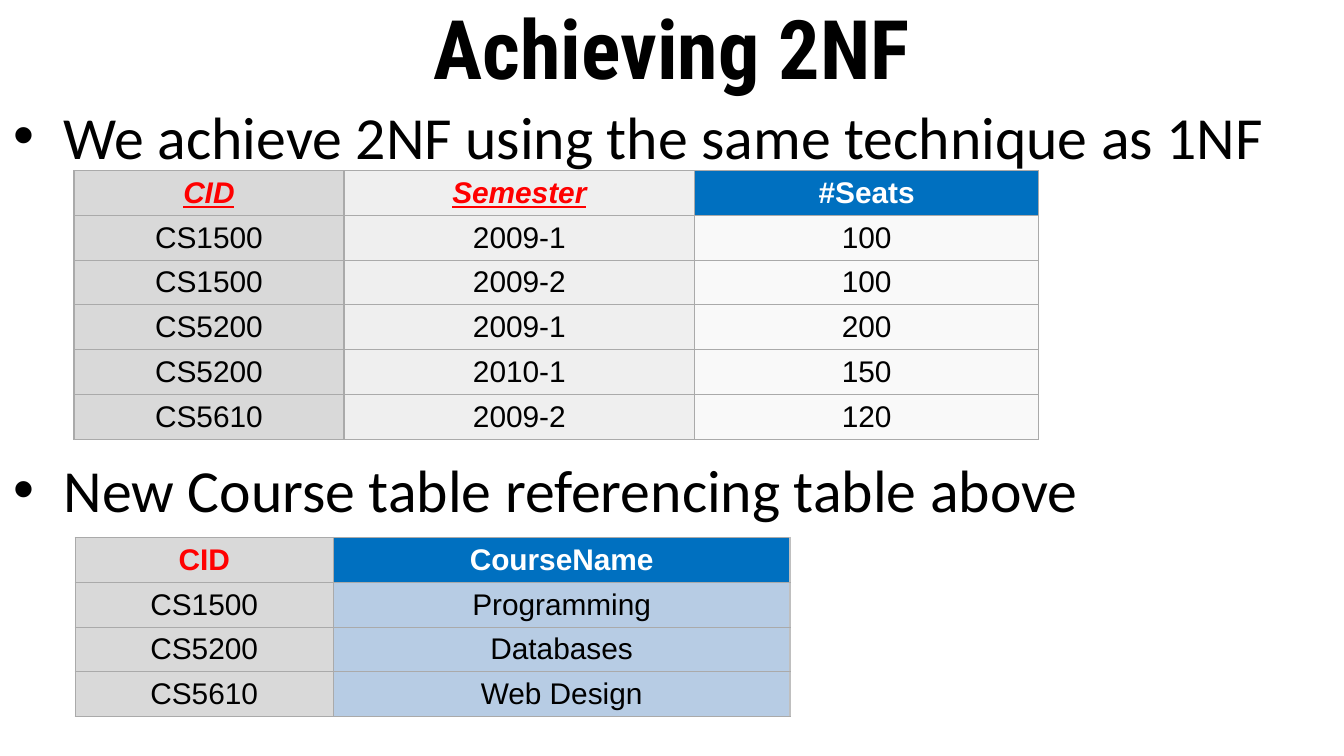
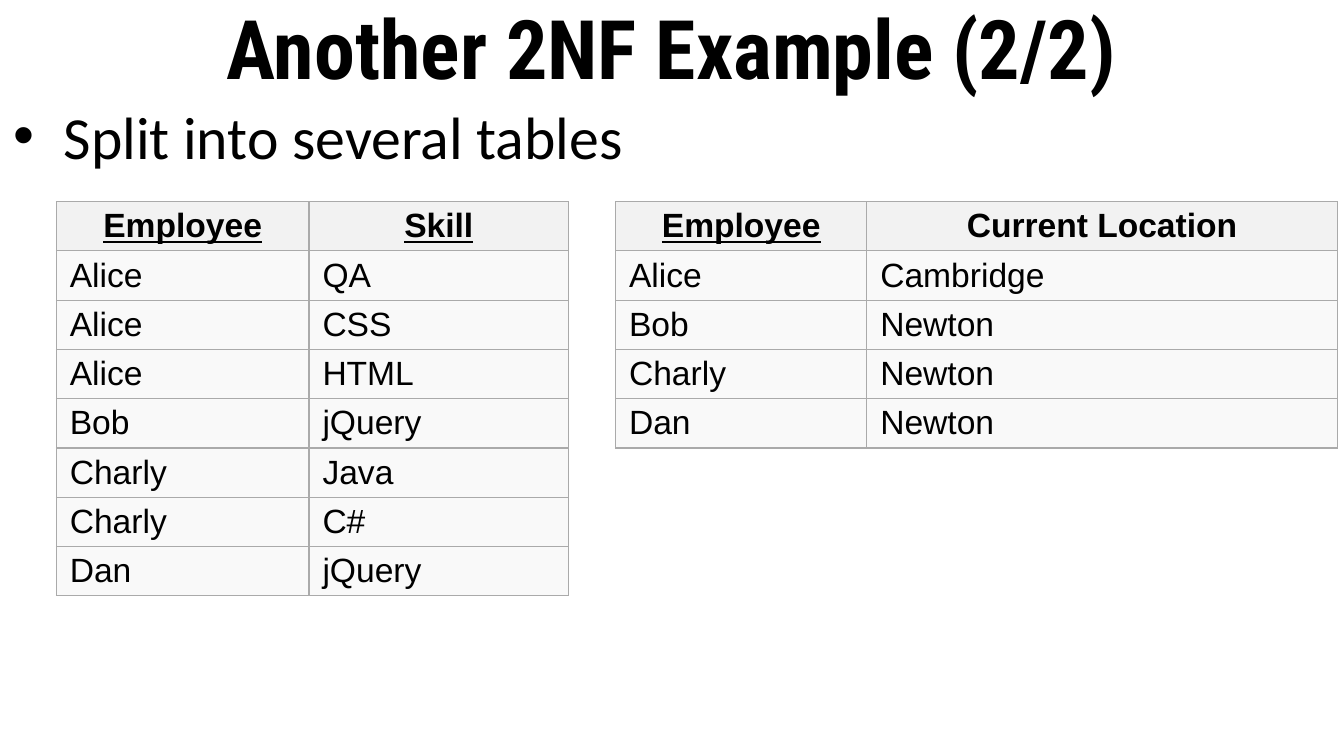
from lxml import etree
from pptx import Presentation
from pptx.dml.color import RGBColor
from pptx.enum import text
from pptx.oxml import ns
from pptx.util import Pt

C = {"black": "000000", "white": "FFFFFF", "red": "FF0000", "blue": "0070C0",
     "pale_blue": "B7CCE4", "key": "D9D9D9", "second_key": "EFEFEF",
     "head": "F2F2F2", "cell": "F9F9F9", "border": "AAAAAA", "edge": "BFBFBF"}
CENTER, LEFT = text.PP_ALIGN.CENTER, text.PP_ALIGN.LEFT
MIDDLE, TOP = text.MSO_ANCHOR.MIDDLE, text.MSO_ANCHOR.TOP


def write(p, content, size, font="Arial", color="black", align=LEFT, bullet=False,
          before=0, bold=False, italic=False, underline=False):
    """Fill one paragraph with a single formatted run."""
    p.alignment = align
    if before:
        p.space_before = Pt(before)
    if bullet:
        pPr = p._p.get_or_add_pPr()
        pPr.set("marL", str(Pt(27)))
        pPr.set("indent", str(Pt(-27)))
        etree.SubElement(pPr, ns.qn("a:buFont"), typeface="Arial")
        etree.SubElement(pPr, ns.qn("a:buChar"), char="•")
    r = p.add_run()
    r.text = content
    f = r.font
    f.size, f.name = Pt(size), font
    f.bold, f.italic, f.underline = bold, italic, underline
    f.color.rgb = RGBColor.from_string(C[color])


def border(cell, side, color, width):
    """Draw one side of a table cell: L, R, T or B."""
    ln = etree.SubElement(cell._tc.get_or_add_tcPr(), ns.qn(f"a:ln{side}"), w=str(Pt(width)))
    fill = etree.SubElement(ln, ns.qn("a:solidFill"))
    etree.SubElement(fill, ns.qn("a:srgbClr"), val=C[color])


# Column styles: header fill, body fill, header font
key = dict(underline=True)
key_red = dict(color="red", italic=True, underline=True)
plain_key = ("head", "cell", key)

# Each table: left, top, row height, text size, body alignment, columns, rows
# Each column: width, style
seats = dict(
    left=39.6, top=91.4, row_h=23.25, size=16, align=CENTER,
    cols=[(144.7, ("key", "key", key_red)),
          (187.9, ("second_key", "second_key", key_red)),
          (184.3, ("blue", "cell", dict(color="white")))],
    rows=[("CID", "Semester", "#Seats"), ("CS1500", "2009-1", "100"),
          ("CS1500", "2009-2", "100"), ("CS5200", "2009-1", "200"),
          ("CS5200", "2010-1", "150"), ("CS5610", "2009-2", "120")])
courses = dict(
    left=40.3, top=288, row_h=23.25, size=16, align=CENTER, right=("edge", 1),
    cols=[(138.2, ("key", "key", dict(color="red"))),
          (244.8, ("blue", "pale_blue", dict(color="white")))],
    rows=[("CID", "CourseName"), ("CS1500", "Programming"),
          ("CS5200", "Databases"), ("CS5610", "Web Design")])
locations = dict(
    left=329.8, top=108, row_h=25.6, size=18, align=LEFT,
    cols=[(134.6, plain_key), (252, ("head", "cell", {}))],
    rows=[("Employee", "Current Location"), ("Alice", "Cambridge"),
          ("Bob", "Newton"), ("Charly", "Newton"), ("Dan", "Newton")])
skills = dict(
    left=30.2, top=108, row_h=25.6, size=18, align=LEFT,
    cols=[(135.4, plain_key), (139, plain_key)],
    rows=[("Employee", "Skill"), ("Alice", "QA"), ("Alice", "CSS"), ("Alice", "HTML"),
          ("Bob", "jQuery"), ("Charly", "Java"), ("Charly", "C#"), ("Dan", "jQuery")])

# Each slide: title, bullets with the space before them, tables
slides = [
    ("Achieving 2NF",
     [("We achieve 2NF using the same technique as 1NF", 0),
      ("New Course table referencing table above", 151)],
     [seats, courses]),
    ("Another 2NF Example (2/2)", [("Split into several tables", 0)], [locations, skills]),
]

prs = Presentation()
prs.slide_width, prs.slide_height = Pt(720), Pt(405)

for title, bullets, tables in slides:
    s = prs.slides.add_slide(prs.slide_layouts[6])

    # Title and body boxes
    frames = []
    for top, height, anchor in ((0, 49.7, MIDDLE), (49.7, 355.3, TOP)):
        tf = s.shapes.add_textbox(0, Pt(top), Pt(720), Pt(height)).text_frame
        tf.word_wrap = True
        tf.vertical_anchor = anchor
        frames.append(tf)
    write(frames[0].paragraphs[0], title, 44, "Roboto Condensed", align=CENTER, bold=True)
    for i, (line, before) in enumerate(bullets):
        p = frames[1].add_paragraph() if i else frames[1].paragraphs[0]
        write(p, line, 32, "Calibri", bullet=True, before=before)

    # Tables
    for t in tables:
        cols, rows = t["cols"], t["rows"]
        tbl = s.shapes.add_table(len(rows), len(cols), Pt(t["left"]), Pt(t["top"]),
                                 Pt(sum(w for w, _ in cols)),
                                 Pt(t["row_h"] * len(rows))).table
        tbl.horz_banding = False
        for j, (width, (head_fill, body_fill, head_font)) in enumerate(cols):
            tbl.columns[j].width = Pt(width)
            for i, row in enumerate(rows):
                tbl.rows[i].height = Pt(t["row_h"])
                cell = tbl.cell(i, j)
                cell.margin_top = cell.margin_bottom = Pt(2.4)
                cell.vertical_anchor = MIDDLE
                last = j == len(cols) - 1
                for side in "LRTB":
                    outer = last and side == "R" and t.get("right")
                    border(cell, side, *(outer or ("border", 0.75)))
                cell.fill.solid()
                cell.fill.fore_color.rgb = RGBColor.from_string(C[body_fill if i else head_fill])
                fmt = dict(align=t["align"]) if i else dict(align=CENTER, bold=True, **head_font)
                write(cell.text_frame.paragraphs[0], row[j], t["size"], **fmt)

prs.save("out.pptx")
